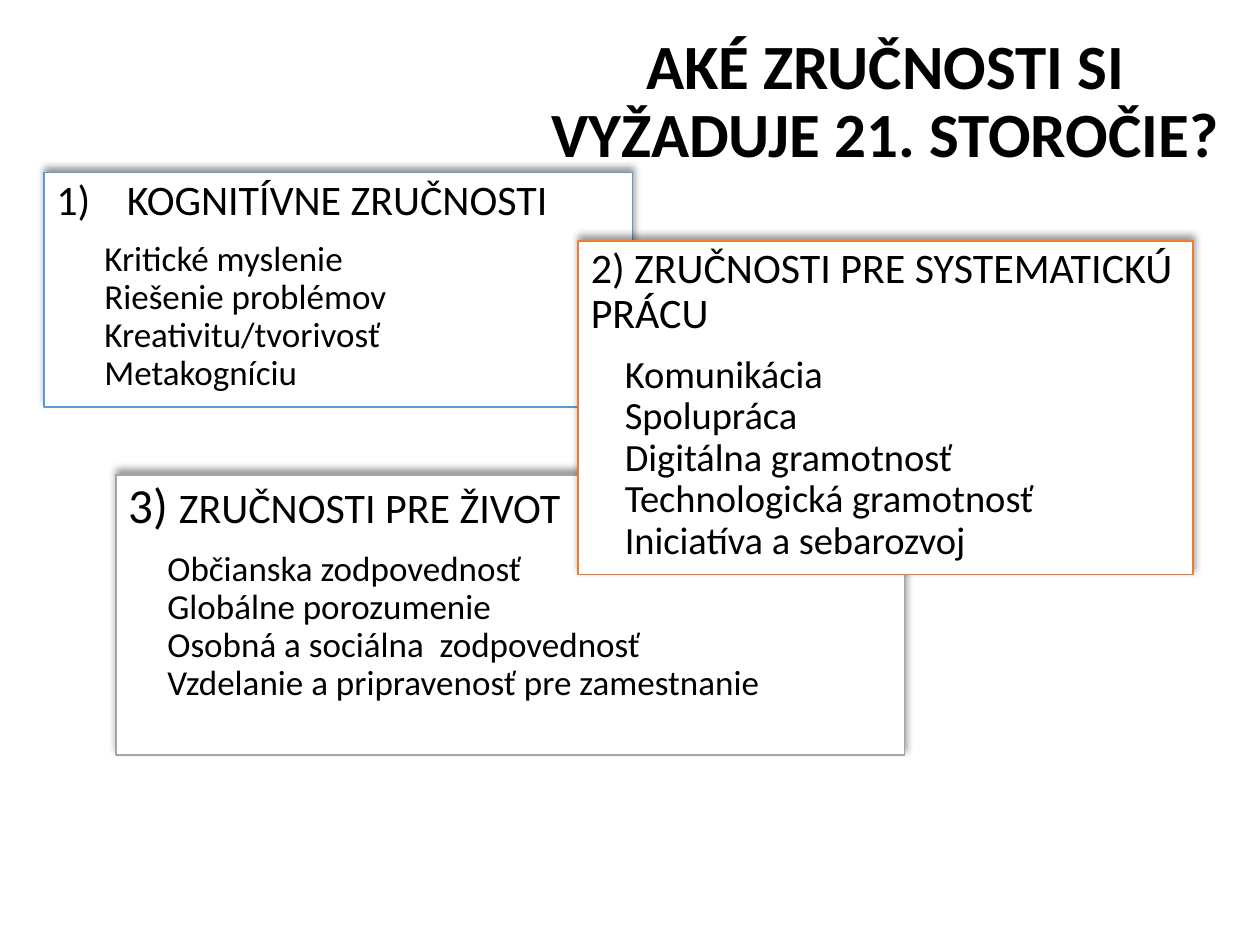
from pptx import Presentation
from pptx.dml.color import RGBColor
from pptx.enum.shapes import MSO_SHAPE
from pptx.enum.text import MSO_ANCHOR, PP_ALIGN
from pptx.oxml import parse_xml
from pptx.oxml.ns import nsdecls
from pptx.util import Inches, Pt

BLACK = RGBColor(0x00, 0x00, 0x00)
WHITE = RGBColor(0xFF, 0xFF, 0xFF)
GREY = RGBColor(0xA5, 0xA5, 0xA5)
BLUE = RGBColor(0x5B, 0x9B, 0xD5)
ORANGE = RGBColor(0xED, 0x7D, 0x31)
FONT = "Calibri"

TITLE = "AKÉ ZRUČNOSTI SI VYŽADUJE 21. STOROČIE?"

# Cards from back to front; head holds (text, size) runs
CARDS = [
    dict(at=(0.92, 3.77, 6.26, 2.22), line=GREY, auto=False,
         head=[("3) ", 28), ("ZRUČNOSTI PRE ŽIVOT", 24)],
         size=20, indent=0.31,
         items=["Občianska zodpovednosť", "Globálne porozumenie",
                "Osobná a sociálna  zodpovednosť",
                "Vzdelanie a pripravenosť pre zamestnanie"]),
    dict(at=(0.35, 1.37, 4.67, 1.86), line=BLUE, auto=True,
         head=[("KOGNITÍVNE ZRUČNOSTI", 24)],
         size=20, indent=0.38,
         items=["Kritické myslenie", "Riešenie problémov",
                "Kreativitu/tvorivosť", "Metakogníciu"]),
    dict(at=(4.59, 1.91, 4.88, 2.65), line=ORANGE, auto=False,
         head=[("2) ZRUČNOSTI PRE SYSTEMATICKÚ PRÁCU", 24)],
         size=22, indent=0.27,
         items=["Komunikácia", "Spolupráca", "Digitálna gramotnosť",
                "Technologická gramotnosť", "Iniciatíva a sebarozvoj"]),
]


def set_indent(para, left, first=0):
    props = para._p.get_or_add_pPr()
    props.set("marL", str(Inches(left)))
    props.set("indent", str(Inches(first)))
    return props


def add_run(para, text, size, bold=False):
    run = para.add_run()
    run.text = text
    run.font.name = FONT
    run.font.size = Pt(size)
    run.font.bold = bold
    run.font.color.rgb = BLACK


def set_para(para, align=PP_ALIGN.LEFT, before=0):
    para.alignment = align
    para.line_spacing = 0.9
    para.space_before = Pt(before)


def add_shadow(shape):
    shape.shadow.inherit = False
    effects = shape._element.spPr.find(
        "{http://schemas.openxmlformats.org/drawingml/2006/main}effectLst")
    effects.append(parse_xml(
        f'<a:outerShdw {nsdecls("a")} blurRad="{Pt(4)}" dist="{Pt(3)}" '
        'dir="16200000" rotWithShape="0"><a:srgbClr val="000000">'
        '<a:alpha val="40000"/></a:srgbClr></a:outerShdw>'))


def add_card(slide, card):
    box = slide.shapes.add_shape(MSO_SHAPE.RECTANGLE, *map(Inches, card["at"]))
    box.fill.solid()
    box.fill.fore_color.rgb = WHITE
    box.line.color.rgb = card["line"]
    box.line.width = Pt(1)
    add_shadow(box)
    frame = box.text_frame
    frame.word_wrap = True
    frame.vertical_anchor = MSO_ANCHOR.TOP

    # Heading
    head = frame.paragraphs[0]
    set_para(head)
    if card["auto"]:
        props = set_indent(head, 0.56, -0.56)
        props.append(parse_xml(
            f'<a:buAutoNum {nsdecls("a")} type="arabicParenR"/>'))
    for text, size in card["head"]:
        add_run(head, text, size)

    # Skills
    for i, item in enumerate(card["items"]):
        para = frame.add_paragraph()
        set_para(para, before=0 if i else 10)
        set_indent(para, card["indent"])
        add_run(para, item, card["size"])


def add_title(slide):
    box = slide.shapes.add_textbox(*map(Inches, (4.05, 0.27, 5.95, 1.09)))
    frame = box.text_frame
    frame.word_wrap = True
    frame.vertical_anchor = MSO_ANCHOR.MIDDLE
    para = frame.paragraphs[0]
    set_para(para, PP_ALIGN.CENTER)
    add_run(para, TITLE, 36, bold=True)


def main():
    deck = Presentation()
    deck.slide_width, deck.slide_height = Inches(10), Inches(7.5)
    slide = deck.slides.add_slide(deck.slide_layouts[6])
    back, *front = CARDS
    add_card(slide, back)
    add_title(slide)
    for card in front:
        add_card(slide, card)
    deck.save("out.pptx")


if __name__ == "__main__":
    main()
